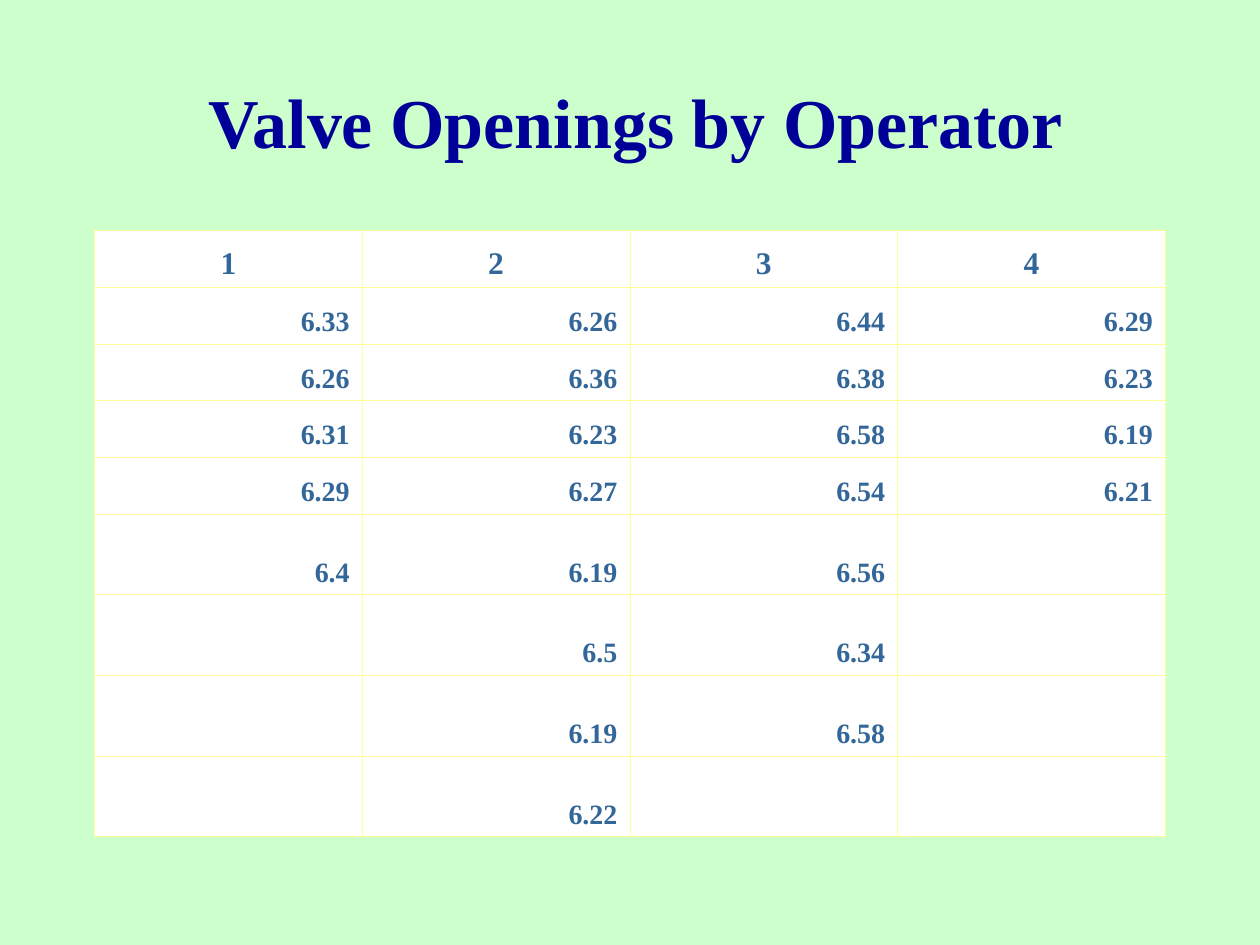
from lxml import etree
from pptx import Presentation
from pptx.dml.color import RGBColor
from pptx.enum.text import MSO_ANCHOR, PP_ALIGN
from pptx.oxml.ns import qn
from pptx.util import Inches, Pt

CENTER, RIGHT = PP_ALIGN.CENTER, PP_ALIGN.RIGHT
MIDDLE, BOTTOM = MSO_ANCHOR.MIDDLE, MSO_ANCHOR.BOTTOM
FONT = "Times New Roman"
MINT, NAVY, BLUE, WHITE, YELLOW = "CCFFCC", "000099", "336699", "FFFFFF", "FFFF99"
WIDE, HIGH = 10, 7.5

HEADS = ["1", "2", "3", "4"]
OPENINGS = [
    ["6.33", "6.26", "6.44", "6.29"],
    ["6.26", "6.36", "6.38", "6.23"],
    ["6.31", "6.23", "6.58", "6.19"],
    ["6.29", "6.27", "6.54", "6.21"],
    ["6.4", "6.19", "6.56", ""],
    ["", "6.5", "6.34", ""],
    ["", "6.19", "6.58", ""],
    ["", "6.22", "", ""],
]
SHORT, TALL = 0.45, 0.64  # row heights: complete rows, rows with gaps


def color(code):
    return RGBColor.from_string(code)


def paint(fill, code):
    fill.solid()
    fill.fore_color.rgb = color(code)


def write(frame, text, size, code, align):
    para = frame.paragraphs[0]
    para.alignment = align
    run = para.add_run()
    run.text = text
    font = run.font
    font.name, font.size, font.bold = FONT, Pt(size), True
    font.color.rgb = color(code)


def rule(cell, code, width):
    """Draw all four borders of a cell; call before its fill is set."""
    props = cell._tc.get_or_add_tcPr()
    for side in ("lnL", "lnR", "lnT", "lnB"):
        line = etree.SubElement(props, qn("a:" + side), w=str(Pt(width)))
        solid = etree.SubElement(line, qn("a:solidFill"))
        etree.SubElement(solid, qn("a:srgbClr"), val=code)


def add_title(slide, text, box):
    frame = slide.shapes.add_textbox(*map(Inches, box)).text_frame
    frame.word_wrap = True
    frame.vertical_anchor = MIDDLE
    write(frame, text, size=40, code=NAVY, align=CENTER)


def add_grid(slide, heads, body, box):
    rows = [heads] + body
    shape = slide.shapes.add_table(len(rows), len(heads), *map(Inches, box))
    table = shape.table
    table.first_row = table.horz_banding = False
    for col in table.columns:
        col.width = Inches(box[2] / len(heads))
    for r, row in enumerate(rows):
        table.rows[r].height = Inches(SHORT if all(row) else TALL)
        size, align = (16, RIGHT) if r else (18, CENTER)
        for c, text in enumerate(row):
            cell = table.cell(r, c)
            rule(cell, YELLOW, 0.45)
            paint(cell.fill, WHITE)
            cell.vertical_anchor = BOTTOM
            if text:
                write(cell.text_frame, text, size=size, code=BLUE, align=align)


def main():
    deck = Presentation()
    deck.slide_width, deck.slide_height = Inches(WIDE), Inches(HIGH)
    slide = deck.slides.add_slide(deck.slide_layouts[6])
    paint(slide.background.fill, MINT)
    add_title(slide, "Valve Openings by Operator", (0.42, 0.33, 9.25, 1.25))
    add_grid(slide, HEADS, OPENINGS, (0.75, 1.83, 8.5, 4.83))
    deck.save("out.pptx")


if __name__ == "__main__":
    main()
